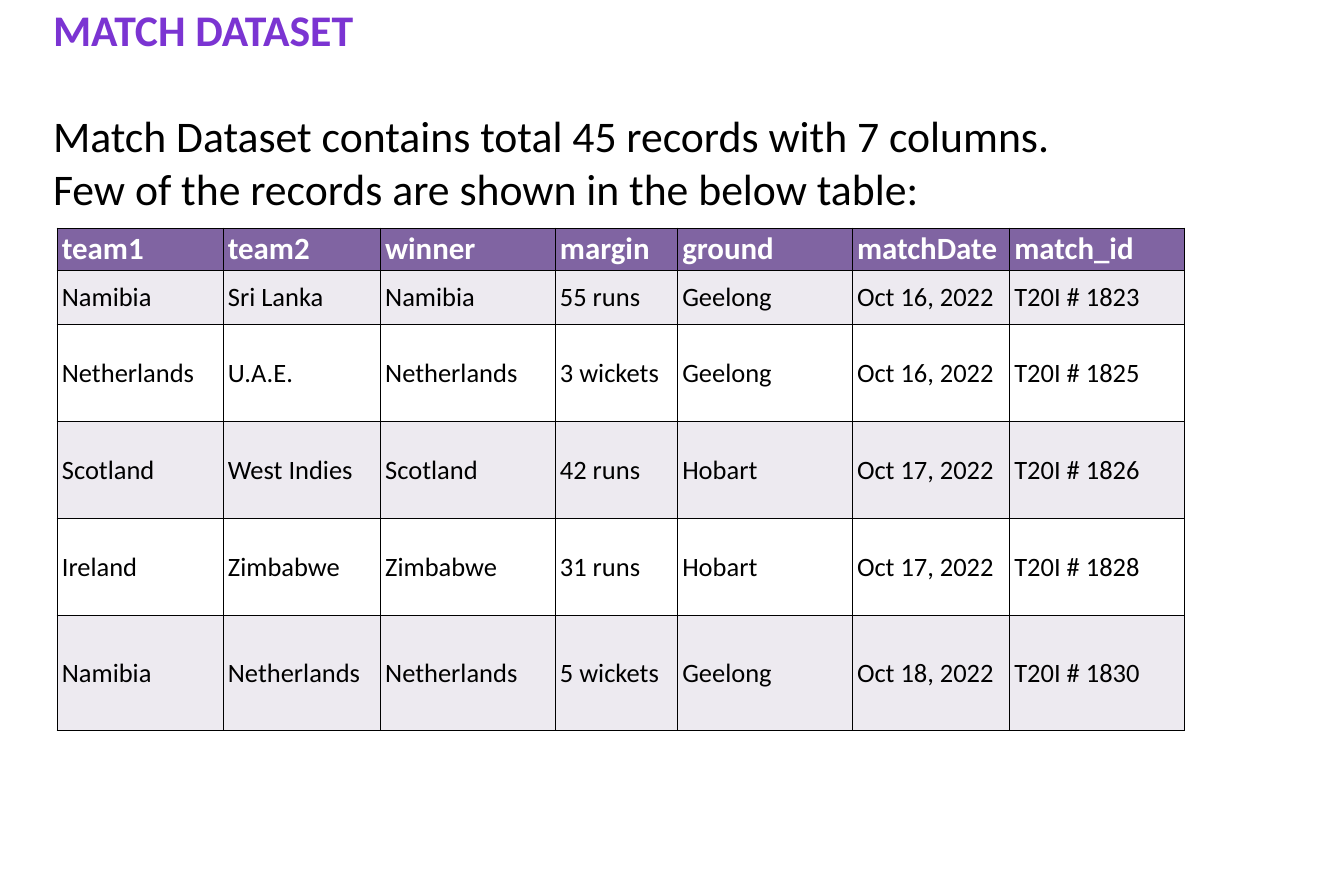
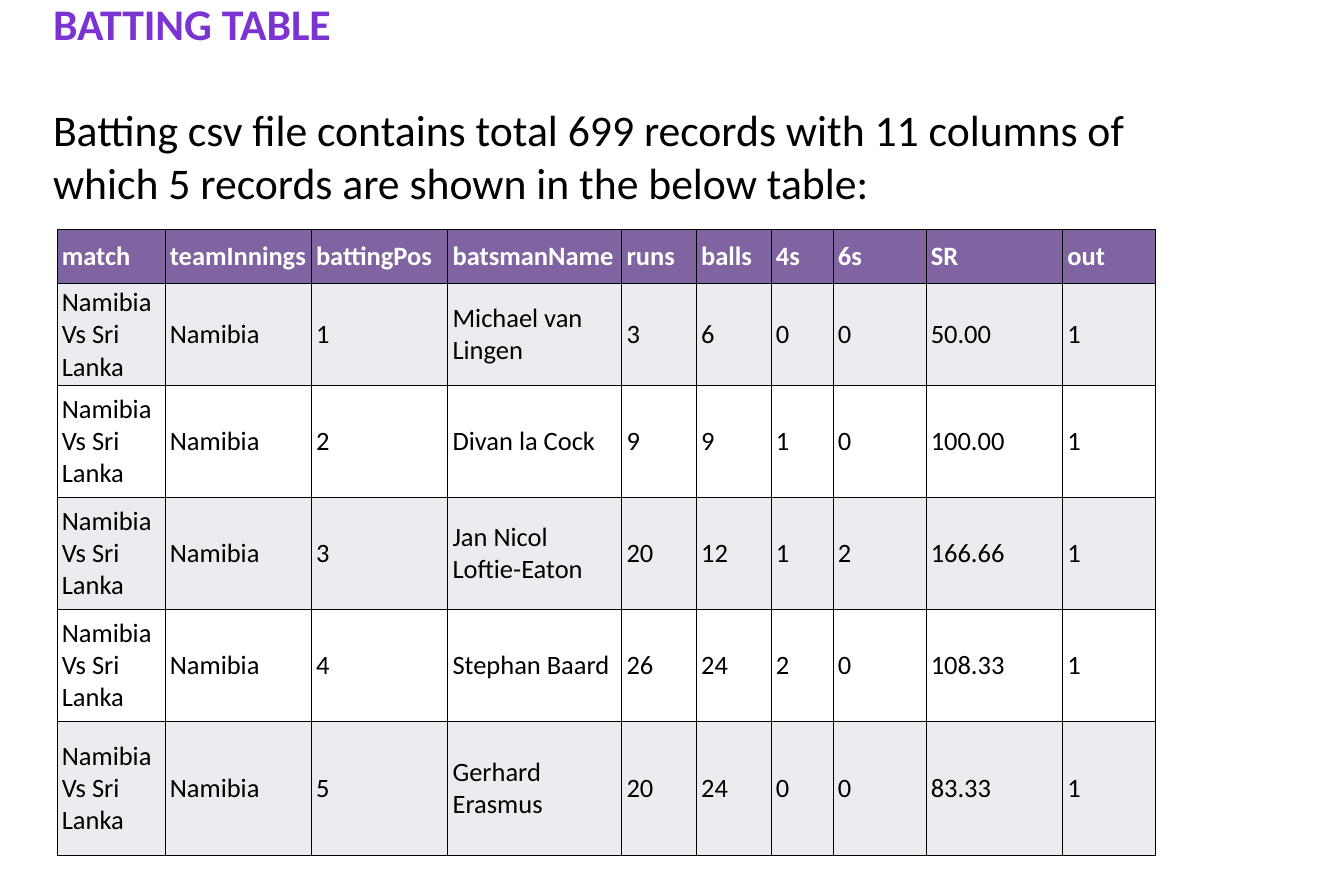
"""Build two slides that present cricket data sets as tables."""
from dataclasses import dataclass

from lxml.etree import SubElement
from pptx import Presentation
from pptx.dml.color import RGBColor
from pptx.enum.text import MSO_ANCHOR, MSO_AUTO_SIZE
from pptx.oxml.ns import qn
from pptx.slide import Slide
from pptx.table import _Cell
from pptx.util import Pt

COLORS = {
    "title": "7B34D2",
    "text": "000000",
    "header": "8064A2",
    "header_text": "FFFFFF",
    "band": "EDEAF0",
    "plain": "FFFFFF",
    "border": "000000",
}
FONT = "Calibri"
SLIDE_WIDTH, SLIDE_HEIGHT = 1218.24, 810
HEADING_LEFT, HEADING_WIDTH = 41, 1029.6
HEADING_SIZE, HEADING_GAP = 39.6, 48.3
TABLE_LEFT = 51.8
CELL_SIZE = 24
CELL_MARGIN_X, CELL_MARGIN_Y = 4.3, 2.15


@dataclass(frozen=True)
class DatasetSlide:
    """A heading with its introduction and a table of sample records."""

    title: str
    introduction: list[str]
    heading_bottom: float
    table_top: float
    header_size: float
    column_widths: list[float]
    row_heights: list[float]
    rows: list[list[str]]


BATTING_MATCH = ["Namibia Vs Sri Lanka", "Namibia"]

DATASETS = [
    DatasetSlide(
        title="MATCH DATASET",
        introduction=[
            "Match Dataset contains total 45 records with 7 columns.",
            "Few of the records are shown in the below table:",
        ],
        heading_bottom=193.7,
        table_top=206.6,
        header_size=28,
        column_widths=[150.5, 142.6, 158.4, 110.9, 158.4, 142.6, 158.4],
        row_heights=[38.2, 49.2, 87.8, 87.8, 87.8, 104.4],
        rows=[
            ["team1", "team2", "winner", "margin", "ground", "matchDate", "match_id"],
            ["Namibia", "Sri Lanka", "Namibia", "55 runs", "Geelong", "Oct 16, 2022", "T20I # 1823"],
            ["Netherlands", "U.A.E.", "Netherlands", "3 wickets", "Geelong", "Oct 16, 2022", "T20I # 1825"],
            ["Scotland", "West Indies", "Scotland", "42 runs", "Hobart", "Oct 17, 2022", "T20I # 1826"],
            ["Ireland", "Zimbabwe", "Zimbabwe", "31 runs", "Hobart", "Oct 17, 2022", "T20I # 1828"],
            ["Namibia", "Netherlands", "Netherlands", "5 wickets", "Geelong", "Oct 18, 2022", "T20I # 1830"],
        ],
    ),
    DatasetSlide(
        title="BATTING TABLE",
        introduction=[
            "Batting csv file contains total 699 records with 11 columns of "
            "which 5 records are shown in the below table:",
        ],
        heading_bottom=188.3,
        table_top=208.1,
        header_size=CELL_SIZE,
        column_widths=[97.9, 132.5, 123.8, 157.7, 67.7, 67.7, 56.2, 84.2, 123.8, 84.2],
        row_heights=[49.2, 91.8, 101.5, 101.5, 101.5, 121],
        rows=[
            ["match", "teamInnings", "battingPos", "batsmanName", "runs", "balls", "4s", "6s", "SR", "out"],
            [*BATTING_MATCH, "1", "Michael van Lingen", "3", "6", "0", "0", "50.00", "1"],
            [*BATTING_MATCH, "2", "Divan la Cock", "9", "9", "1", "0", "100.00", "1"],
            [*BATTING_MATCH, "3", "Jan Nicol Loftie-Eaton", "20", "12", "1", "2", "166.66", "1"],
            [*BATTING_MATCH, "4", "Stephan Baard", "26", "24", "2", "0", "108.33", "1"],
            [*BATTING_MATCH, "5", "Gerhard Erasmus", "20", "24", "0", "0", "83.33", "1"],
        ],
    ),
]


def style_font(font, size: float, color: str, bold: bool) -> None:
    font.name = FONT
    font.size = Pt(size)
    font.bold = bold
    font.color.rgb = RGBColor.from_string(COLORS[color])


def draw_heading(slide: Slide, dataset: DatasetSlide) -> None:
    shape = slide.shapes.add_textbox(
        Pt(HEADING_LEFT), Pt(0), Pt(HEADING_WIDTH), Pt(dataset.heading_bottom)
    )
    text_frame = shape.text_frame
    text_frame.word_wrap = True
    text_frame.auto_size = MSO_AUTO_SIZE.NONE
    text_frame.vertical_anchor = MSO_ANCHOR.BOTTOM
    text_frame.margin_top = text_frame.margin_bottom = Pt(0)
    text_frame.text = "\n".join([dataset.title, *dataset.introduction])
    title, *introduction = text_frame.paragraphs
    style_font(title.runs[0].font, HEADING_SIZE, "title", True)
    introduction[0].space_before = Pt(HEADING_GAP)
    for paragraph in introduction:
        style_font(paragraph.runs[0].font, HEADING_SIZE, "text", False)


def add_borders(cell: _Cell) -> None:
    properties = cell._tc.get_or_add_tcPr()
    for side in ("a:lnL", "a:lnR", "a:lnT", "a:lnB"):
        line = SubElement(properties, qn(side), w=str(Pt(1)))
        fill = SubElement(line, qn("a:solidFill"))
        SubElement(fill, qn("a:srgbClr"), val=COLORS["border"])


def fill_cell(cell: _Cell, text: str, row_index: int, header_size: float) -> None:
    is_header = row_index == 0
    background = "header" if is_header else "band" if row_index % 2 else "plain"
    add_borders(cell)
    cell.fill.solid()
    cell.fill.fore_color.rgb = RGBColor.from_string(COLORS[background])
    cell.vertical_anchor = MSO_ANCHOR.MIDDLE
    cell.margin_left = cell.margin_right = Pt(CELL_MARGIN_X)
    cell.margin_top = cell.margin_bottom = Pt(CELL_MARGIN_Y)
    cell.text_frame.text = text
    style_font(
        cell.text_frame.paragraphs[0].runs[0].font,
        header_size if is_header else CELL_SIZE,
        "header_text" if is_header else "text",
        is_header,
    )


def draw_table(slide: Slide, dataset: DatasetSlide) -> None:
    table = slide.shapes.add_table(
        len(dataset.rows), len(dataset.column_widths),
        Pt(TABLE_LEFT), Pt(dataset.table_top),
        Pt(sum(dataset.column_widths)), Pt(sum(dataset.row_heights)),
    ).table
    table.horz_banding = False
    for column, width in zip(table.columns, dataset.column_widths):
        column.width = Pt(width)
    for row_index, (row, height) in enumerate(zip(table.rows, dataset.row_heights)):
        row.height = Pt(height)
        for cell, text in zip(row.cells, dataset.rows[row_index]):
            fill_cell(cell, text, row_index, dataset.header_size)


def main() -> None:
    presentation = Presentation()
    presentation.slide_width = Pt(SLIDE_WIDTH)
    presentation.slide_height = Pt(SLIDE_HEIGHT)
    for dataset in DATASETS:
        slide = presentation.slides.add_slide(presentation.slide_layouts[6])
        draw_heading(slide, dataset)
        draw_table(slide, dataset)
    presentation.save("out.pptx")


if __name__ == "__main__":
    main()
